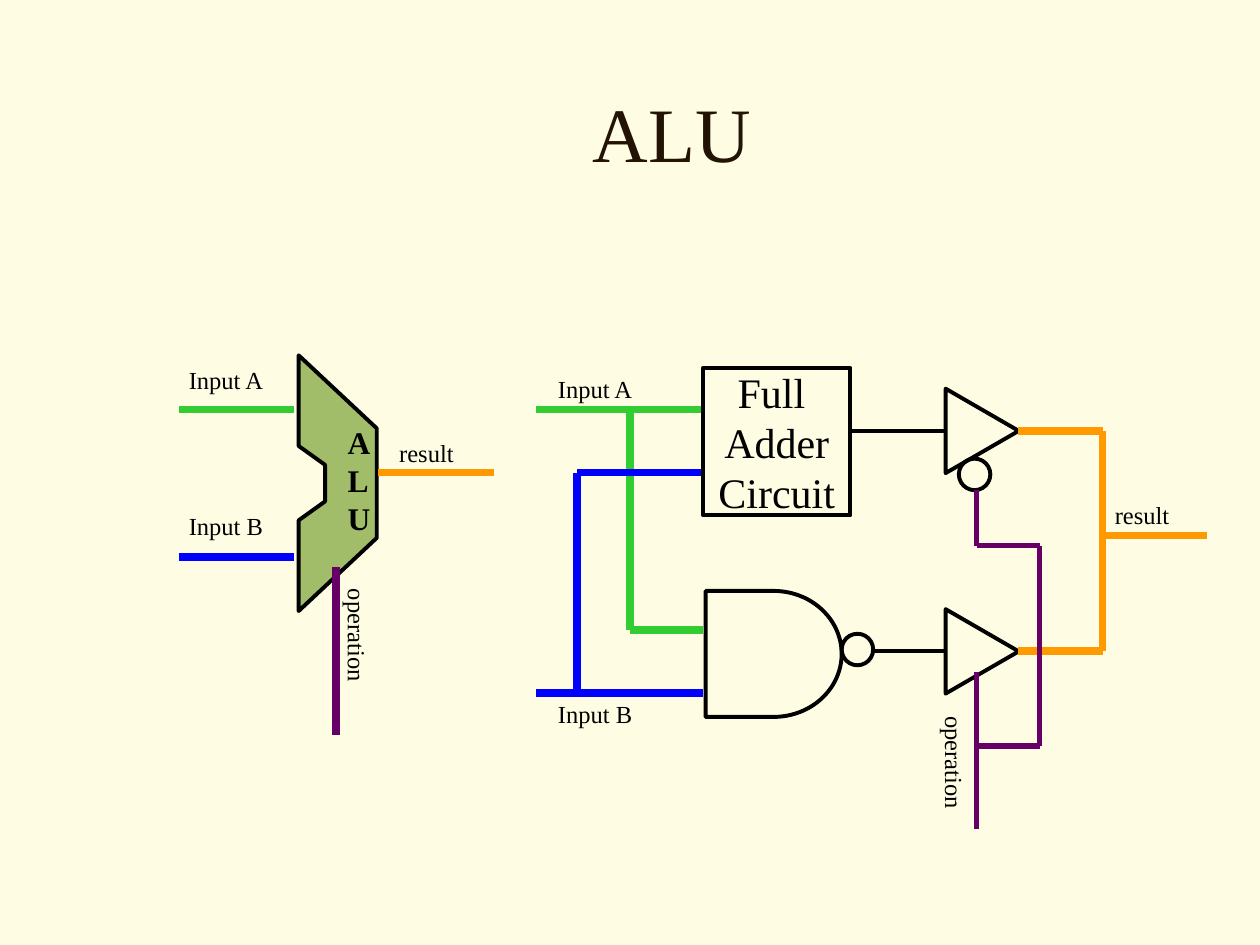
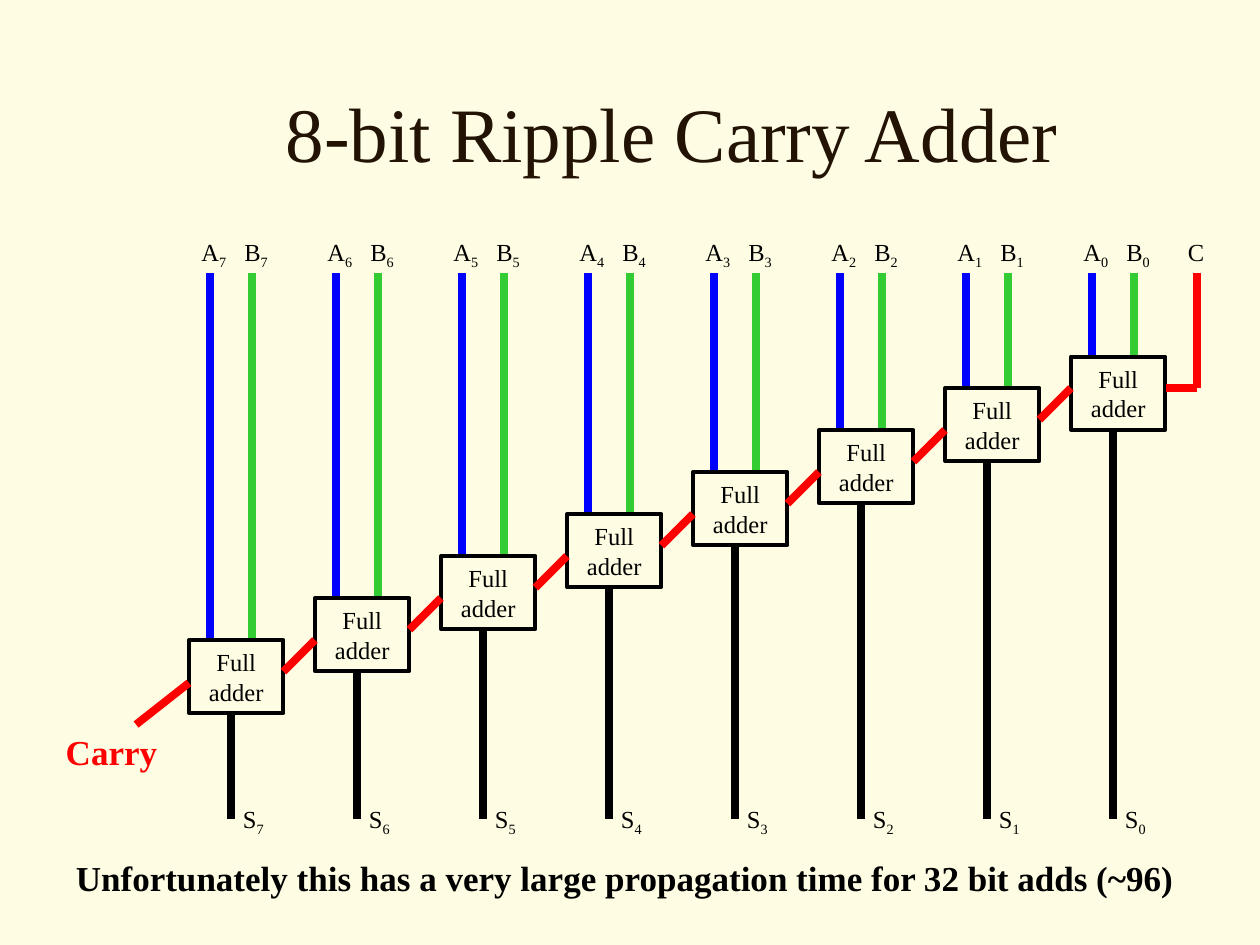
from dataclasses import dataclass
from itertools import pairwise
from typing import Any

from lxml.etree import SubElement
from pptx import Presentation
from pptx.dml.color import RGBColor as Rgb
from pptx.enum.shapes import MSO_CONNECTOR as Conn, MSO_SHAPE as Kind
from pptx.enum.text import MSO_ANCHOR as Anchor, PP_ALIGN as Align
from pptx.oxml.ns import qn
from pptx.util import Inches, Pt

INK = {
    "paper": "FEFDE3", "title": "221304", "black": "000000", "alu": "A1BD69",
    "green": "33CC33", "blue": "0000FF", "orange": "FF9900",
    "purple": "660066", "red": "FF0000",
}
FONT = "Times New Roman"
THICK, MID, THIN = 4.5, 3, 2.25


def tint(name):
    """Return the named colour."""
    return Rgb.from_string(INK[name])


def style(para, size, ink="black", bold=False, align=None):
    """Format a paragraph and all its runs."""
    para.alignment = align
    for run in para.runs:
        font = run.font
        font.name, font.size, font.bold = FONT, Pt(size), bold
        font.color.rgb = tint(ink)


@dataclass
class Pen:
    """Draws on a slide, measuring in inches from a corner."""
    slide: Any
    left: float = 0
    top: float = 0

    def spot(self, x, y):
        """Return a point on the slide."""
        return Inches(self.left + x), Inches(self.top + y)

    def wire(self, ink, *points, width=THICK):
        """Draw straight lines from point to point."""
        for start, end in pairwise(points):
            line = self.slide.shapes.add_connector(
                Conn.STRAIGHT, *self.spot(*start), *self.spot(*end))
            line.line.color.rgb = tint(ink)
            line.line.width = Pt(width)
            SubElement(line._element.spPr, qn("a:effectLst"))

    def label(self, text, x, y, wide, high=0.33, size=14, ink="black",
              bold=False, align=Align.LEFT, turn=0, wrap=False, sub=""):
        """Write text, with an optional subscript at its end."""
        box = self.slide.shapes.add_textbox(
            *self.spot(x, y), Inches(wide), Inches(high))
        box.rotation = turn
        frame = box.text_frame
        frame.text = text
        frame.word_wrap = wrap
        if sub:
            run = frame.paragraphs[0].add_run()
            run.text = sub
            run._r.get_or_add_rPr().set("baseline", "-25000")
        for para in frame.paragraphs:
            style(para, size, ink, bold, align)
        return box

    def shape(self, kind, x, y, wide, high, turn=0, text="", size=14):
        """Draw an outlined shape with centred text."""
        part = self.slide.shapes.add_shape(
            kind, *self.spot(x, y), Inches(wide), Inches(high))
        part.rotation = turn
        part.fill.background()
        trim(part)
        if text:
            frame = part.text_frame
            frame.text = text
            frame.word_wrap = False
            frame.vertical_anchor = Anchor.MIDDLE
            for para in frame.paragraphs:
                style(para, size, align=Align.CENTER)

    def outline(self, ink, points):
        """Draw a filled closed outline."""
        first, *rest = [self.spot(*point) for point in points]
        form = self.slide.shapes.build_freeform(*first)
        form.add_line_segments(rest, close=True)
        part = form.convert_to_shape()
        part.fill.solid()
        part.fill.fore_color.rgb = tint(ink)
        trim(part)


def trim(part):
    """Give a shape a black line and no shadow."""
    part.shadow.inherit = False
    part.line.color.rgb = tint("black")
    part.line.width = Pt(THIN)


def page(deck, title):
    """Add a titled slide and return it."""
    slide = deck.slides.add_slide(deck.slide_layouts[6])
    box = Pen(slide).label(title, 1.17, 0.42, 8.33, 1.25, 44, "title",
                           align=Align.CENTER, wrap=True)
    box.text_frame.vertical_anchor = Anchor.MIDDLE
    return slide


def symbol(pen):
    """Draw the ALU symbol with its inputs and outputs."""
    pen.outline("alu", [
        (0.95, 0.07), (1.57, 0.65), (1.57, 1.52), (0.95, 2.1),
        (0.95, 1.38), (1.16, 1.23), (1.16, 0.94), (0.95, 0.79)])
    pen.label("A\nL\nU", 1.24, 0.56, 0.38, 1, 18, bold=True)
    pen.wire("green", (0, 0.5), (0.91, 0.5))
    pen.wire("blue", (0, 1.67), (0.91, 1.67))
    pen.wire("orange", (1.58, 1), (2.5, 1))
    pen.wire("purple", (1.25, 1.75), (1.25, 3.08))
    pen.label("Input A", -0.02, 0.1, 0.8)
    pen.label("Input B", -0.02, 1.26, 0.8)
    pen.label("result", 1.65, 0.68, 0.63)
    pen.label("operation", 0.95, 2.13, 0.94, turn=90)


def circuit(pen):
    """Draw the adder and NAND gate with their switched outputs."""
    pen.wire("green", (0, 0.33), (1.33, 0.33))
    pen.wire("green", (0.75, 0.33), (0.75, 2.08), (1.33, 2.08))
    pen.wire("blue", (0, 2.58), (1.33, 2.58))
    pen.wire("blue", (0.33, 2.58), (0.33, 0.83), (1.33, 0.83))
    pen.label("Input A", 0.08, 0, 0.8)
    pen.label("Input B", 0.08, 2.58, 0.8)
    pen.shape(Kind.FLOWCHART_DELAY, 1.35, 1.77, 1.08, 1)
    pen.shape(Kind.RECTANGLE, 1.33, 0, 1.17, 1.17,
              text="Full \nAdder\nCircuit", size=24)
    for x, y in ((2.43, 2.11), (3.36, 0.72)):
        pen.shape(Kind.OVAL, x, y, 0.25, 0.25)
    for start, y in ((2.5, 0.5), (2.67, 2.25)):
        pen.shape(Kind.ISOSCELES_TRIANGLE, 3.21, y - 0.29, 0.67, 0.58, 90)
        pen.wire("black", (start, y), (3.25, y), width=THIN)
        pen.wire("orange", (3.83, y), (4.5, y))
    pen.wire("orange", (4.5, 2.25), (4.5, 0.5))
    pen.wire("orange", (4.5, 1.33), (5.33, 1.33))
    pen.label("result", 4.5, 1, 0.63)
    pen.wire("purple", (3.5, 2.41), (3.5, 3.66), width=MID)
    pen.wire("purple", (3.5, 3), (4, 3), (4, 1.41), (3.5, 1.41),
             (3.5, 0.97), width=MID)
    pen.label("operation", 2.86, 2.97, 0.94, turn=90)


def adder(pen, bit, drop):
    """Draw one full adder, its carry in and its sum."""
    for name, ink, x in (("A", "blue", 0), ("B", "green", 0.34)):
        pen.label(name, x, 0, 0.45, wrap=True, sub=str(bit))
        wire = 0.17 if name == "A" else 0.5
        pen.wire(ink, (wire, 0.34), (wire, drop))
    pen.shape(Kind.RECTANGLE, 0, drop, 0.75, 0.58, text="Full\nadder")
    if bit:
        pen.wire("red", (1, drop), (0.75, drop + 0.25))
    else:
        pen.wire("red", (1, 0.34), (1, drop + 0.25), (0.75, drop + 0.25))
        pen.label("C", 0.83, 0, 0.33)
    pen.wire("black", (0.33, drop + 0.58), (0.33, 4.67))
    pen.label("S", 0.33, 4.5, 0.37, wrap=True, sub=str(bit))


def ripple(slide, bits=8):
    """Draw the chain of adders from the lowest bit up."""
    for bit in range(bits):
        drop = 1.25 + (bit - 1) / 3 if bit else 1
        adder(Pen(slide, 8.5 - bit, 1.83), bit, drop)
    pen = Pen(slide)
    pen.wire("red", (1.5, 5.42), (1.08, 5.75))
    pen.label("Carry", 0.42, 5.75, 0.93, 0.43, 20, "red", True, Align.CENTER)
    pen.label("Unfortunately this has a very large propagation time "
              "for 32 bit adds (~96)", 0.25, 6.75, 9.42, 0.43, 20,
              bold=True, align=Align.CENTER, wrap=True)


def main():
    """Build both slides and save them."""
    deck = Presentation()
    deck.slide_width, deck.slide_height = Inches(10), Inches(7.5)
    fill = deck.slide_master.background.fill
    fill.solid()
    fill.fore_color.rgb = tint("paper")
    slide = page(deck, "ALU")
    symbol(Pen(slide, 1.42, 2.75))
    circuit(Pen(slide, 4.25, 2.92))
    ripple(page(deck, "8-bit Ripple Carry Adder"))
    deck.save("out.pptx")


if __name__ == "__main__":
    main()
